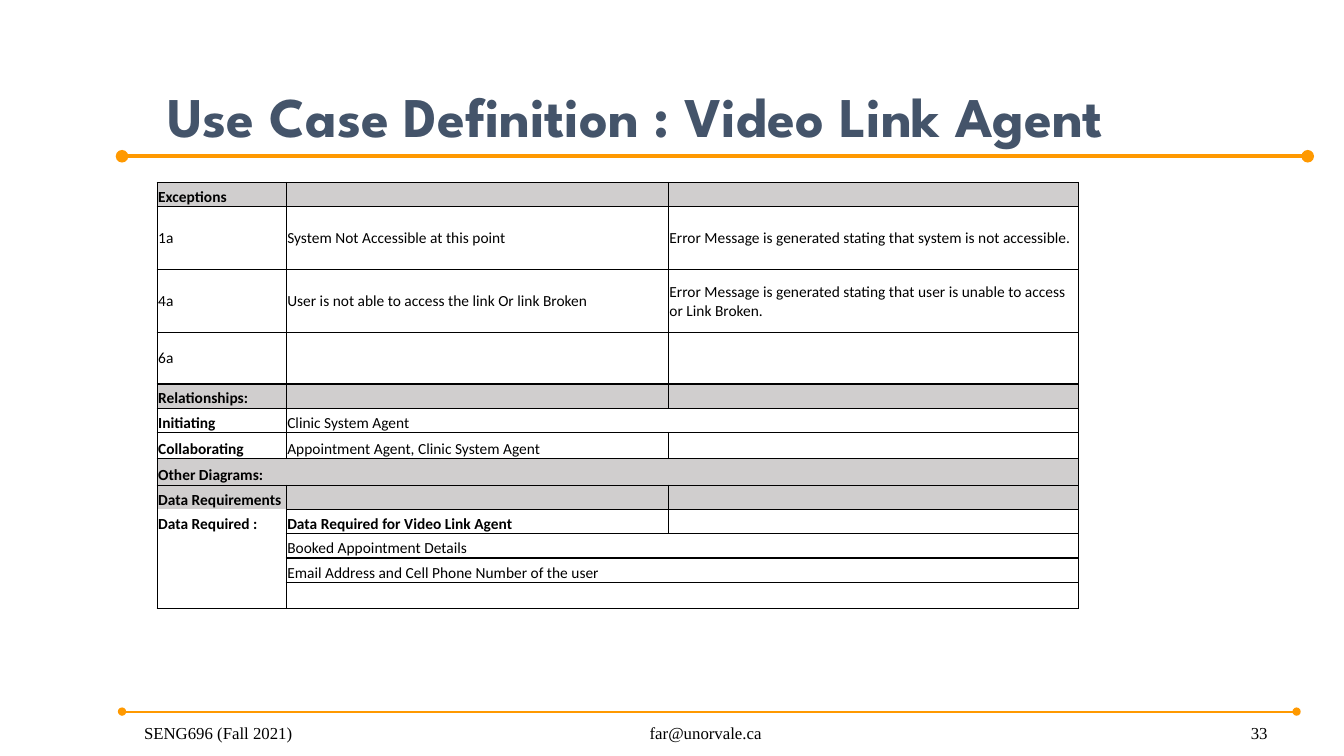
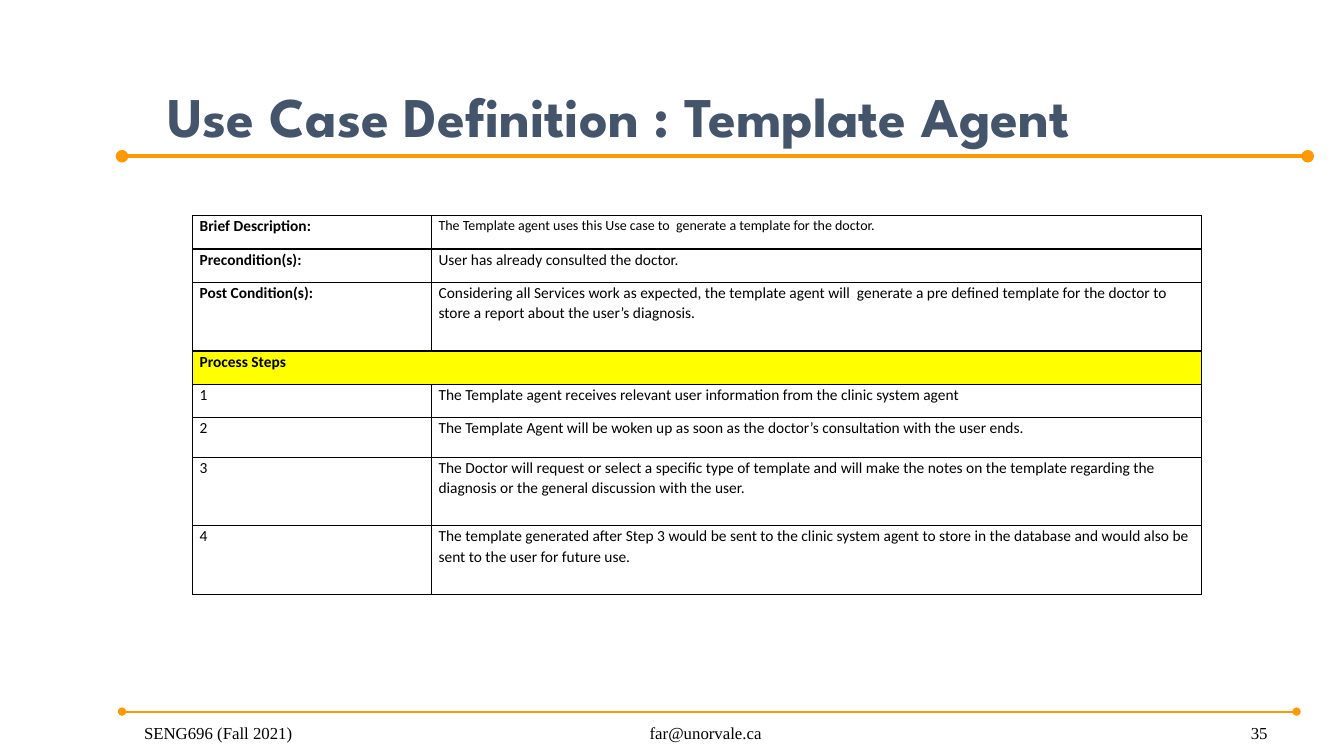
from lxml.etree import SubElement
from pptx import Presentation
from pptx.dml.color import RGBColor
from pptx.enum.shapes import MSO_CONNECTOR as Connector
from pptx.enum.text import MSO_ANCHOR as Anchor, MSO_AUTO_SIZE as AutoSize, PP_ALIGN as Align
from pptx.oxml.ns import qn
from pptx.util import Inches, Pt

WIDTH, HEIGHT = Inches(13.33), Inches(7.5)
ORANGE, SLATE, BLACK, GREY, YELLOW = "FF9900", "44546A", "000000", "D0CECE", "FFFF00"
TITLE_FONT = {"name": "League Spartan", "size": Pt(40), "bold": True}
FOOTER_FONT = {"name": "Times New Roman", "size": Pt(12)}
TITLE_AREA = (11.7, 3.73, 86.2, 16.67)
RULES = [(9.08, 97.3, 20.67, 3), (9.08, 96.47, 94.13, 1.5)]
FOOTER_TOP, FOOTER_HEIGHT = 93.07, 5.87

EXCEPTIONS = {
    "area": (11.7, 24.13, 68.57, 56.4),
    "columns": [128, 379, 407],
    "rows": [24, 62, 62, 51, 24, 24, 26, 26, 24, 24, 24, 24, 26],
    "texts": [
        ["Exceptions", "", ""],
        ["1a", "System Not Accessible at this point",
         "Error Message is generated stating that system is not accessible."],
        ["4a", "User is not able to access the link Or link Broken",
         "Error Message is generated stating that user is unable to access or Link Broken."],
        ["6a", "", ""],
        ["Relationships:", "", ""],
        ["Initiating", "Clinic System Agent", ""],
        ["Collaborating", "Appointment Agent, Clinic System Agent", ""],
        ["Other Diagrams:", "", ""],
        ["Data Requirements", "", ""],
        ["Data Required :", "Data Required for Video Link Agent", ""],
        ["", "Booked Appointment Details", ""],
        ["", "Email Address and Cell Phone Number of the user", ""],
        ["", "", ""],
    ],
    "fills": {row: GREY for row in (0, 4, 7, 8)},
    "bold": {(row, 0) for row in (0, 4, 5, 6, 7, 8, 9)} | {(9, 1)},
    "spans": [(5, 1, 2), (7, 0, 2), (10, 1, 2), (11, 1, 2), (12, 1, 2)],
    "open": {(8, 0): "B", (9, 0): "TB", (10, 0): "TB", (11, 0): "TB", (12, 0): "T"},
    "anchor": Anchor.BOTTOM,
    "middle_rows": (1, 2, 3),
    "insets": (0.01, 0.01, 0.01, 0),
    "spacing": {},
    "sizes": {},
}

PROCESS = {
    "area": (14.33, 28.53, 75.09, 50.13),
    "columns": [237, 764],
    "rows": [33, 33, 68, 33, 33, 39, 68, 68],
    "texts": [
        ["Brief Description:",
         "The Template agent uses this Use case to  generate a template for the doctor."],
        ["Precondition(s):", "User has already consulted the doctor."],
        ["Post Condition(s):",
         "Considering all Services work as expected, the template agent will  generate a pre "
         "defined template for the doctor to store a report about the user’s diagnosis."],
        ["Process Steps", ""],
        ["1", "The Template agent receives relevant user information from the clinic system agent"],
        ["2", "The Template Agent will be woken up as soon as the doctor’s consultation with the "
              "user ends."],
        ["3", "The Doctor will request or select a specific type of template and will make the "
              "notes on the template regarding the diagnosis or the general discussion with "
              "the user."],
        ["4", "The template generated after Step 3 would be sent to the clinic system agent to "
              "store in the database and would also be sent to the user for future use."],
    ],
    "fills": {3: YELLOW},
    "bold": {(row, 0) for row in range(4)},
    "spans": [],
    "open": {(3, 0): "R", (3, 1): "L"},
    "anchor": Anchor.TOP,
    "middle_rows": (),
    "insets": (0.07, 0, 0.07, 0),
    "spacing": {"line_spacing": 1.07, "space_after": Pt(8)},
    "sizes": {(0, 1): 10},
}


def rgb(value):
    """Turn a hex string into a colour."""
    return RGBColor.from_string(value)


def across(percent):
    """Return a share of the slide width."""
    return round(WIDTH * percent / 100)


def down(percent):
    """Return a share of the slide height."""
    return round(HEIGHT * percent / 100)


def box(left, top, width, height):
    """Turn percentages of the slide into a frame."""
    return across(left), down(top), across(width), down(height)


def apply(target, values):
    """Set each attribute named in the values."""
    for key, value in values.items():
        setattr(target, key, value)


def style_font(font, values, color=BLACK):
    """Format a font with a dict and a colour."""
    apply(font, values)
    font.color.rgb = rgb(color)


def add_rule(slide, start, end, height, weight):
    """Draw a horizontal rule with round ends."""
    rule = slide.shapes.add_connector(
        Connector.STRAIGHT, across(start), down(height), across(end), down(height))
    rule.line.color.rgb = rgb(ORANGE)
    rule.line.width = Pt(weight)
    properties = rule.element.spPr
    outline = properties.find(qn("a:ln"))
    for tip in ("a:headEnd", "a:tailEnd"):
        SubElement(outline, qn(tip), type="oval")
    SubElement(properties, qn("a:effectLst"))
    return rule


def add_footer(slide, text, left, width, align):
    """Place one part of the footer."""
    frame = slide.shapes.add_textbox(*box(left, FOOTER_TOP, width, FOOTER_HEIGHT)).text_frame
    apply(frame, {"word_wrap": True, "vertical_anchor": Anchor.BOTTOM, "text": text})
    paragraph = frame.paragraphs[0]
    paragraph.alignment = align
    style_font(paragraph.runs[0].font, FOOTER_FONT)


def draw_borders(cell, open_sides):
    """Draw the black cell borders, leaving the open sides bare."""
    properties = cell._tc.get_or_add_tcPr()
    for side in "LRTB":
        border = SubElement(properties, qn(f"a:ln{side}"), w=str(Pt(1)))
        if side in open_sides:
            SubElement(border, qn("a:noFill"))
        else:
            paint = SubElement(border, qn("a:solidFill"))
            SubElement(paint, qn("a:srgbClr"), val=BLACK)


def fill_cell(cell, content, row, column):
    """Write and format one table cell."""
    place = (row, column)
    margins = zip(("left", "top", "right", "bottom"), content["insets"])
    apply(cell, {f"margin_{side}": Inches(inset) for side, inset in margins})
    cell.vertical_anchor = Anchor.MIDDLE if row in content["middle_rows"] else content["anchor"]
    draw_borders(cell, content["open"].get(place, ""))
    if row in content["fills"]:
        cell.fill.solid()
        cell.fill.fore_color.rgb = rgb(content["fills"][row])
    else:
        cell.fill.background()
    paragraph = cell.text_frame.paragraphs[0]
    apply(paragraph, content["spacing"])
    text, size = content["texts"][row][column], content["sizes"].get(place, 11)
    if text:
        run = paragraph.add_run()
        run.text = text
        style_font(run.font, {"name": "Calibri", "size": Pt(size), "bold": place in content["bold"]})
    else:
        SubElement(paragraph._p, qn("a:endParaRPr"), sz=str(size * 100))


def add_use_case(slide, content):
    """Build a use case table from its content."""
    frame = box(*content["area"])
    row_shares, column_shares = content["rows"], content["columns"]
    table = slide.shapes.add_table(len(row_shares), len(column_shares), *frame).table
    apply(table, {"first_row": False, "horz_banding": False})
    for column, share in zip(table.columns, column_shares):
        column.width = round(frame[2] * share / sum(column_shares))
    for row, share in zip(table.rows, row_shares):
        row.height = round(frame[3] * share / sum(row_shares))
    for row in range(len(row_shares)):
        for column in range(len(column_shares)):
            fill_cell(table.cell(row, column), content, row, column)
    for row, first, last in content["spans"]:
        table.cell(row, first).merge(table.cell(row, last))


def add_slide(deck, layout, agent, number, content):
    """Add a titled use case slide."""
    slide = deck.slides.add_slide(layout)
    title = slide.shapes.title
    frame = title.text_frame
    apply(frame, {"text": f"Use Case Definition : {agent}", "word_wrap": True,
                  "auto_size": AutoSize.NONE, "vertical_anchor": Anchor.BOTTOM})
    frame.paragraphs[0].alignment = Align.LEFT
    style_font(frame.paragraphs[0].runs[0].font, TITLE_FONT, SLATE)
    add_use_case(slide, content)
    add_footer(slide, "far@unorvale.ca", 36.68, 31.66, Align.CENTER)
    add_footer(slide, str(number), 74.19, 20.86, Align.RIGHT)
    add_footer(slide, "SENG696 (Fall 2021)", 9.98, 20.86, Align.LEFT)
    return slide


def main():
    """Build and save the deck."""
    deck = Presentation()
    apply(deck, {"slide_width": WIDTH, "slide_height": HEIGHT})
    layout = deck.slide_layouts.get_by_name("Title Only")
    apply(layout.placeholders[0], dict(zip(("left", "top", "width", "height"), box(*TITLE_AREA))))
    first = add_slide(deck, layout, "Video Link Agent", 33, EXCEPTIONS)
    for rule in RULES:
        layout.shapes.element.append(add_rule(first, *rule).element)
    add_slide(deck, layout, "Template Agent", 35, PROCESS)
    deck.save("out.pptx")


if __name__ == "__main__":
    main()
